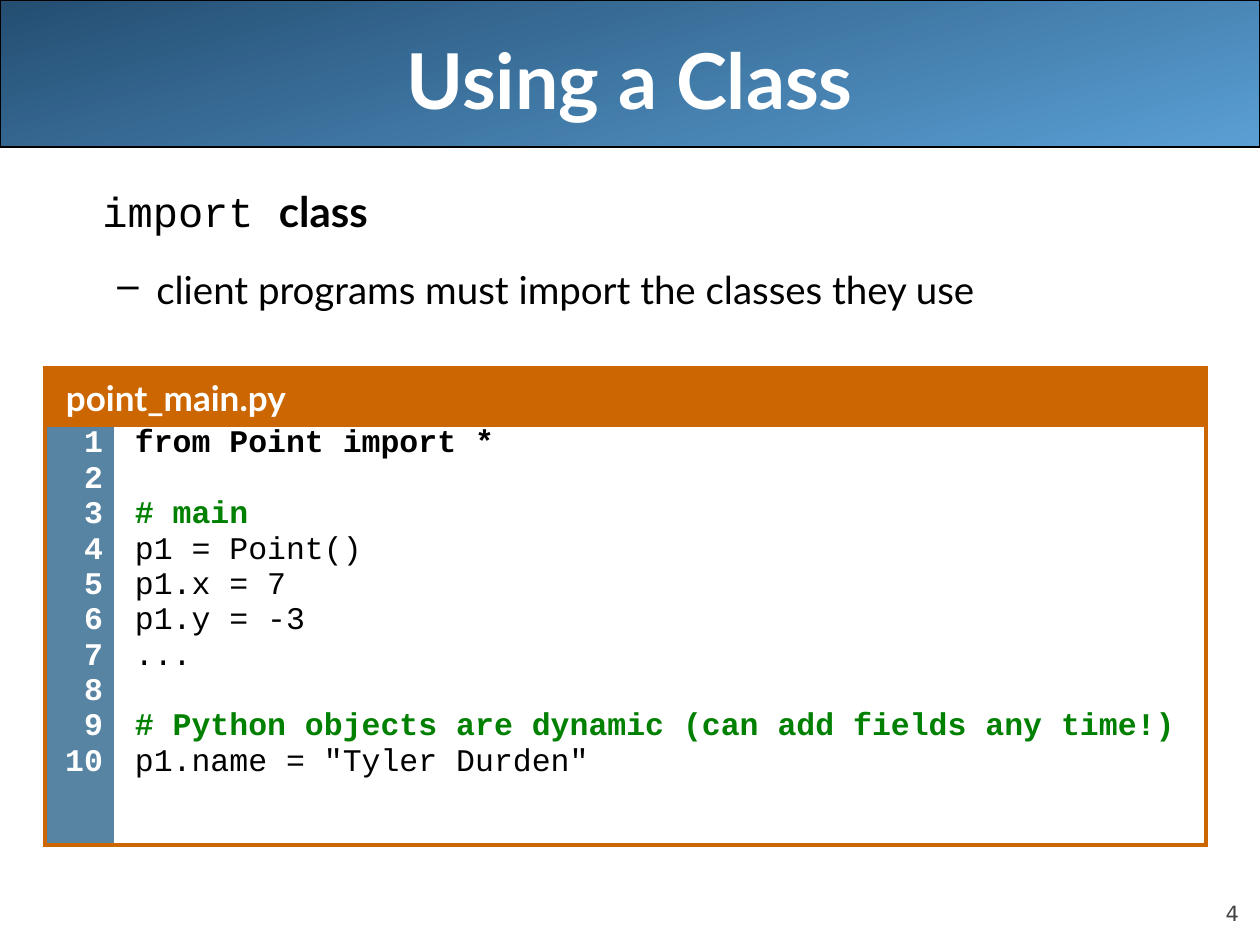
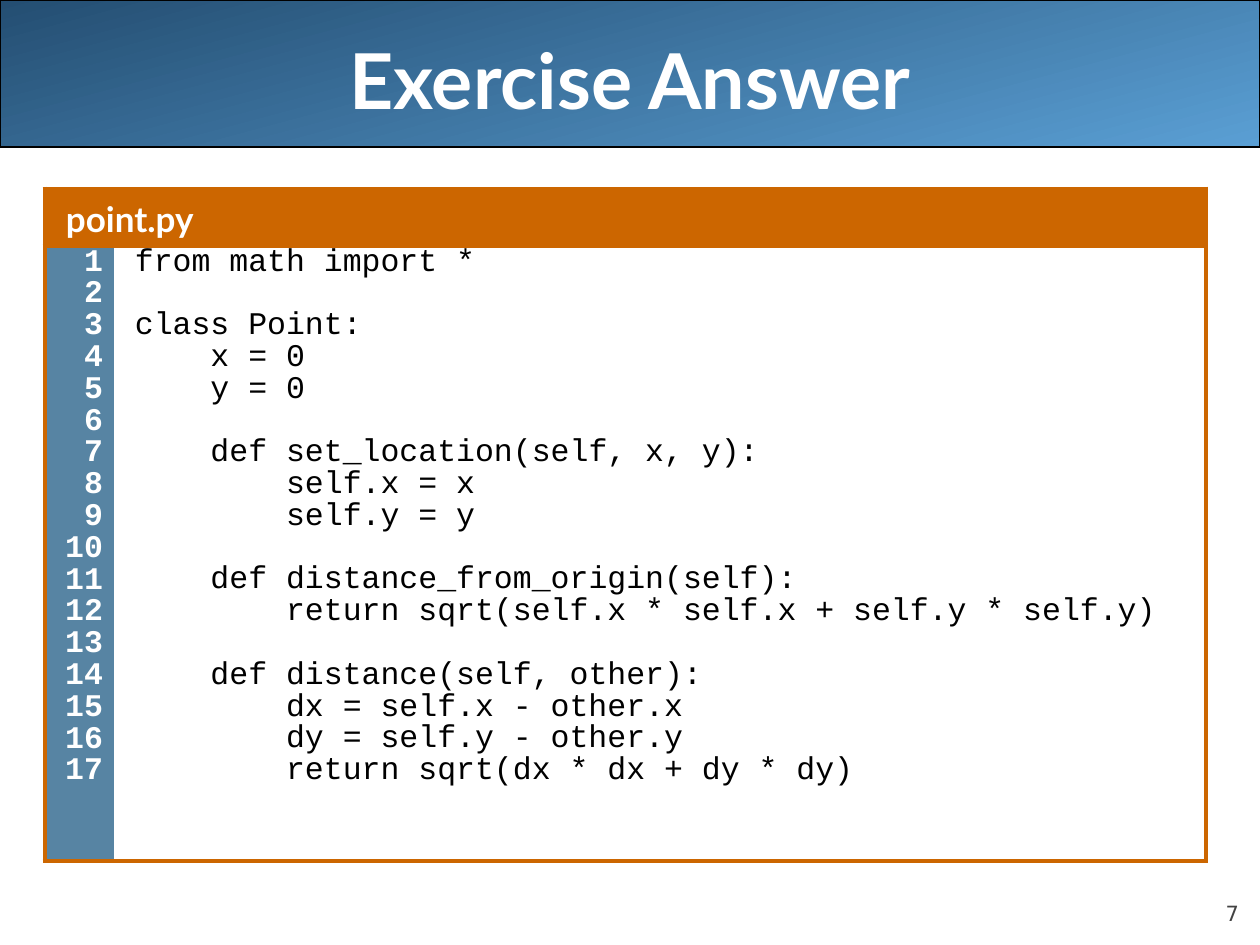
from lxml import etree
from pptx import Presentation
from pptx import util as u
from pptx.dml.color import RGBColor
from pptx.enum import shapes, text
from pptx.oxml.ns import qn

SLIDES = [
    {
        "title": "Using a Class",
        "number": "4",
        "intro": {
            "keyword": "import ",
            "term": "class",
            "detail": "client programs must import the classes they use",
        },
        "file": "point_main.py",
        "bold_lines": [1],
        "code": [
            "from Point import *",
            "",
            "# main",
            "p1 = Point()",
            "p1.x = 7",
            "p1.y = -3",
            "...",
            "",
            "# Python objects are dynamic (can add fields any time!)",
            'p1.name = "Tyler Durden"',
        ],
        "table_top": 368,
        "code_height": 420,
        "line_spacing": 0.77,
    },
    {
        "title": "Exercise Answer",
        "number": "7",
        "file": "point.py",
        "bold_lines": [],
        "code": [
            "from math import *",
            "",
            "class Point:",
            "    x = 0",
            "    y = 0",
            "",
            "    def set_location(self, x, y):",
            "        self.x = x",
            "        self.y = y",
            "",
            "    def distance_from_origin(self):",
            "        return sqrt(self.x * self.x + self.y * self.y)",
            "",
            "    def distance(self, other):",
            "        dx = self.x - other.x",
            "        dy = self.y - other.y",
            "        return sqrt(dx * dx + dy * dy)",
        ],
        "table_top": 189,
        "code_height": 615,
        "line_spacing": 0.67,
    },
]

PX_PER_INCH = 126
SLIDE_W, SLIDE_H = 1260, 945
BAND_H = 147
TITLE_BOX = (63, 0, 1134, 158)
NUMBER_BOX = (1134, 876, 105, 50)
INTRO_BOX = (42, 179, 1197, 160)
TABLE_LEFT, GUTTER_W, CODE_W, HEADER_H = 45, 69, 1092, 57
CELL_INSET, CODE_MARGIN = 6, 15

BLACK = RGBColor(0x00, 0x00, 0x00)
WHITE = RGBColor(0xFF, 0xFF, 0xFF)
GREY = RGBColor(0x42, 0x42, 0x42)
NAVY = RGBColor(0x24, 0x4E, 0x72)
SKY = RGBColor(0x5A, 0x9F, 0xD4)
STEEL = RGBColor(0x57, 0x84, 0xA3)
ORANGE = RGBColor(0xCC, 0x66, 0x00)
GREEN = RGBColor(0x00, 0x80, 0x00)

SANS, MONO = "Lato", "Courier New"
CODE_SIZE, CODE_GAP = 18, 4.5
MONO_LINE, MONO_CHAR = 1.133, 0.6  # line height and character width, in ems

TITLE = {"name": SANS, "size": u.Pt(44), "bold": True, "color": WHITE}
NUMBER = {"name": "DejaVu Sans", "size": u.Pt(12), "color": GREY}
KEYWORD = {"name": MONO, "size": u.Pt(24), "color": BLACK}
TERM = {"name": SANS, "size": u.Pt(24), "bold": True, "color": BLACK}
DETAIL = {"name": SANS, "size": u.Pt(22), "color": BLACK}
FILE_NAME = {"name": SANS, "size": u.Pt(20), "bold": True, "color": WHITE}
CODE = {"name": MONO, "size": u.Pt(CODE_SIZE), "bold": False, "color": BLACK}
CODE_BOLD = {**CODE, "bold": True}
COMMENT = {**CODE_BOLD, "color": GREEN}
LINE_NUMBER = {**CODE_BOLD, "color": WHITE}


def px(length):
    return u.Emu(round(length * 914400 / PX_PER_INCH))


def set_all(target, values):
    for name, value in values.items():
        setattr(target, name, value)


def add_run(paragraph, words, style):
    run = paragraph.add_run()
    run.text = words
    for name, value in style.items():
        if name == "color":
            run.font.color.rgb = value
        else:
            setattr(run.font, name, value)


def set_margin(paragraph, left, first=0):
    props = paragraph._p.get_or_add_pPr()
    props.set("marL", str(px(left)))
    props.set("indent", str(px(first)))
    return props


def paragraphs(frame):
    """Yield the frame's first paragraph, then new ones without end."""
    yield frame.paragraphs[0]
    while True:
        yield frame.add_paragraph()


def add_text_box(slide, box, **frame_format):
    frame = slide.shapes.add_textbox(*map(px, box)).text_frame
    set_all(frame, {"word_wrap": True, **frame_format})
    return frame


def add_band(slide):
    band = slide.shapes.add_shape(
        shapes.MSO_SHAPE.ROUNDED_RECTANGLE, 0, 0, px(SLIDE_W), px(BAND_H))
    band.adjustments[0] = 0
    band.shadow.inherit = False
    band.fill.gradient()
    band.fill.gradient_angle = 285
    for stop, color, position in zip(band.fill.gradient_stops, (NAVY, SKY), (0, 1)):
        stop.color.rgb = color
        stop.position = position
    band.line.color.rgb = BLACK
    band.line.width = u.Pt(0.75)


def add_frame(slide, title, number):
    """Add what every slide has: band, title and slide number."""
    add_band(slide)
    insets = dict.fromkeys(
        ("margin_left", "margin_top", "margin_right", "margin_bottom"), 0)
    number_frame = add_text_box(
        slide, NUMBER_BOX, vertical_anchor=text.MSO_ANCHOR.BOTTOM, **insets)
    title_frame = add_text_box(
        slide, TITLE_BOX, vertical_anchor=text.MSO_ANCHOR.MIDDLE)
    for frame, words, style, align in (
            (number_frame, number, NUMBER, text.PP_ALIGN.RIGHT),
            (title_frame, title, TITLE, text.PP_ALIGN.CENTER)):
        frame.paragraphs[0].alignment = align
        add_run(frame.paragraphs[0], words, style)


def add_intro(slide, intro):
    frame = add_text_box(slide, INTRO_BOX)
    heading = frame.paragraphs[0]
    set_margin(heading, 48)
    add_run(heading, intro["keyword"], KEYWORD)
    add_run(heading, intro["term"], TERM)
    detail = frame.add_paragraph()
    detail.space_before = u.Pt(17.5)
    props = set_margin(detail, 102, -39)
    etree.SubElement(props, qn("a:buChar")).set("char", "–")
    add_run(detail, intro["detail"], DETAIL)


def style_cell(cell, color, sides, right_inset=CELL_INSET):
    """Fill the cell and draw the borders named in sides (L, R, T, B)."""
    props = cell._tc.get_or_add_tcPr()
    for side in "LRTB":
        border = etree.SubElement(props, qn(f"a:ln{side}"))
        if side in sides:
            border.set("w", str(u.Pt(3)))
            fill = etree.SubElement(border, qn("a:solidFill"))
            etree.SubElement(fill, qn("a:srgbClr")).set("val", str(ORANGE))
        else:
            etree.SubElement(border, qn("a:noFill"))
    cell.fill.solid()
    cell.fill.fore_color.rgb = color
    set_all(cell, {
        "margin_left": px(CELL_INSET), "margin_top": px(CELL_INSET),
        "margin_bottom": px(CELL_INSET), "margin_right": px(right_inset)})


def write_line_numbers(cell, count, line_spacing):
    for number, line in zip(range(1, count + 1), paragraphs(cell.text_frame)):
        set_all(line, {"alignment": text.PP_ALIGN.RIGHT,
                       "line_spacing": line_spacing,
                       "space_before": u.Pt(CODE_GAP)})
        add_run(line, str(number), LINE_NUMBER)


def write_code(cell, code, bold_lines, line_spacing):
    """Write the lines; blank ones become space, leading blanks a margin."""
    pitch = CODE_SIZE * MONO_LINE * line_spacing + CODE_GAP
    char_width = CODE_SIZE * MONO_CHAR * PX_PER_INCH / 72
    filled = [(n, words) for n, words in enumerate(code, 1) if words]
    previous = 0
    for (number, words), line in zip(filled, paragraphs(cell.text_frame)):
        blanks = number - previous - 1
        previous = number
        statement = words.lstrip()
        set_margin(line, CODE_MARGIN + (len(words) - len(statement)) * char_width)
        set_all(line, {"line_spacing": line_spacing,
                       "space_before": u.Pt(CODE_GAP + blanks * pitch)})
        if statement.startswith("#"):
            style = COMMENT
        else:
            style = CODE_BOLD if number in bold_lines else CODE
        add_run(line, statement, style)


def add_listing(slide, content):
    heights = (HEADER_H, content["code_height"])
    widths = (GUTTER_W, CODE_W)
    table = slide.shapes.add_table(
        2, 2, px(TABLE_LEFT), px(content["table_top"]),
        px(sum(widths)), px(sum(heights))).table
    set_all(table, {"first_row": False, "horz_banding": False})
    for column, width in zip(table.columns, widths):
        column.width = px(width)
    for row, height in zip(table.rows, heights):
        row.height = px(height)

    header, header_end = table.cell(0, 0), table.cell(0, 1)
    gutter, body = table.cell(1, 0), table.cell(1, 1)
    header.merge(header_end)
    style_cell(header, ORANGE, "LRTB")
    style_cell(header_end, ORANGE, "RTB")
    style_cell(gutter, STEEL, "LTB", 11)
    style_cell(body, WHITE, "RTB", 23)

    file_line = header.text_frame.paragraphs[0]
    set_margin(file_line, CODE_MARGIN)
    set_all(file_line, {"line_spacing": 1.07, "space_before": u.Pt(5)})
    add_run(file_line, content["file"], FILE_NAME)
    spacing = content["line_spacing"]
    write_line_numbers(gutter, len(content["code"]), spacing)
    write_code(body, content["code"], content["bold_lines"], spacing)


def main():
    deck = Presentation()
    set_all(deck, {"slide_width": px(SLIDE_W), "slide_height": px(SLIDE_H)})
    for content in SLIDES:
        slide = deck.slides.add_slide(deck.slide_layouts[6])
        add_frame(slide, content["title"], content["number"])
        if "intro" in content:
            add_intro(slide, content["intro"])
        add_listing(slide, content)
    deck.save("out.pptx")


if __name__ == "__main__":
    main()
